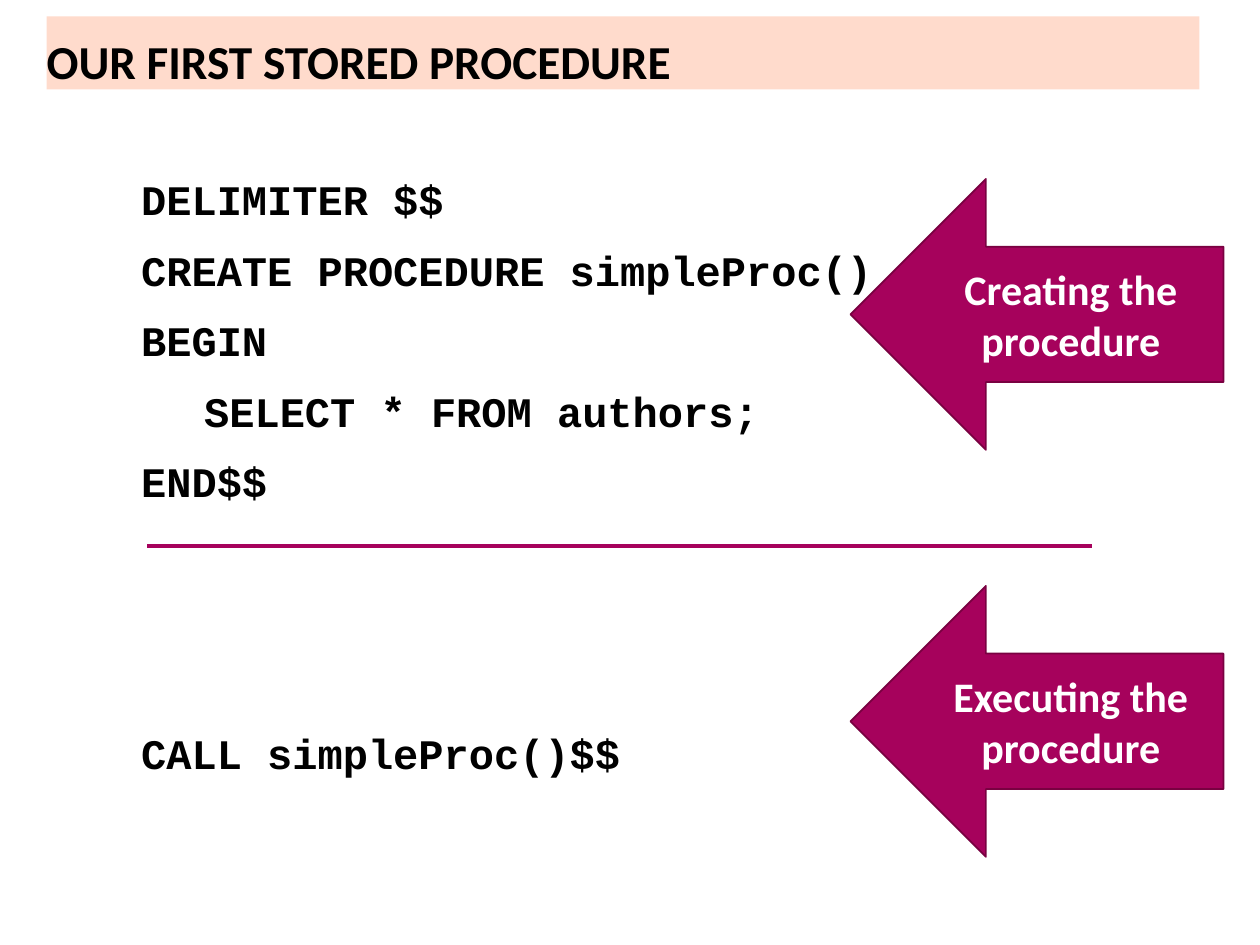
"""Build a slide that shows how a stored procedure is created and executed."""
from dataclasses import dataclass

from lxml import etree
from pptx import Presentation
from pptx.dml.color import RGBColor
from pptx.enum.shapes import MSO_CONNECTOR, MSO_SHAPE
from pptx.enum.text import MSO_ANCHOR, MSO_AUTO_SIZE, PP_ALIGN
from pptx.oxml.ns import qn
from pptx.util import Inches, Pt

LEFT, CENTER = PP_ALIGN.LEFT, PP_ALIGN.CENTER
BOTTOM, MIDDLE, TOP = MSO_ANCHOR.BOTTOM, MSO_ANCHOR.MIDDLE, MSO_ANCHOR.TOP
NO_FIT = MSO_AUTO_SIZE.NONE
LEFT_ARROW = MSO_SHAPE.LEFT_ARROW
STRAIGHT = MSO_CONNECTOR.STRAIGHT
TITLE_ONLY = 5


@dataclass(frozen=True)
class Theme:
    """Colours, fonts and type sizes of the slide."""
    ink: RGBColor = RGBColor.from_string("000000")
    paper: RGBColor = RGBColor.from_string("FFFFFF")
    banner: RGBColor = RGBColor.from_string("FFDBCC")
    accent: RGBColor = RGBColor.from_string("A6025C")
    outline: RGBColor = RGBColor.from_string("790141")
    text_font: str = "Calibri"
    code_font: str = "Courier New"
    title_size: int = 27
    body_size: int = 24
    line_gap: float = 5.7
    block_gap: float = 120.8


class SlideBuilder:
    """Holds the theme and the current slide and draws its elements."""

    def __init__(self, slide, theme):
        self.slide = slide
        self.theme = theme

    def set_font(self, para, name, size, color):
        """Give a paragraph its bold typeface, size and colour."""
        font = para.font
        font.name, font.size, font.bold = name, Pt(size), True
        font.color.rgb = color

    def set_frame(self, frame, anchor, margins):
        """Set wrapping, anchor and left, top, right, bottom margins."""
        frame.word_wrap = True
        frame.auto_size = NO_FIT
        frame.vertical_anchor = anchor
        (frame.margin_left, frame.margin_top,
         frame.margin_right, frame.margin_bottom) = map(Inches, margins)

    def title(self, text, bounds):
        """Place the title placeholder on its coloured band."""
        box = self.slide.shapes.title
        box.left, box.top, box.width, box.height = map(Inches, bounds)
        box.fill.solid()
        box.fill.fore_color.rgb = self.theme.banner
        self.set_frame(box.text_frame, BOTTOM, (0, 0, 0, 0))
        para = box.text_frame.paragraphs[0]
        para.text, para.alignment = text, LEFT
        self.set_font(para, self.theme.text_font, self.theme.title_size, self.theme.ink)

    def code(self, blocks, bounds):
        """Write blocks of code lines with a wide gap between blocks."""
        frame = self.slide.shapes.add_textbox(*map(Inches, bounds)).text_frame
        self.set_frame(frame, TOP, (0, 0.08, 0, 0))
        para = None
        for block in blocks:
            gap = self.theme.block_gap
            for line in block:
                if para is None:
                    para = frame.paragraphs[0]
                else:
                    para = frame.add_paragraph()
                    para.space_before = Pt(gap)
                gap = self.theme.line_gap
                self.code_line(para, line)

    def code_line(self, para, line):
        """Indent one code line and give it a tab stop."""
        para.text, para.level = line, 1
        properties = para._p.get_or_add_pPr()
        properties.set("marL", str(Inches(0.75)))
        properties.set("indent", "0")
        tabs = etree.SubElement(properties, qn("a:tabLst"))
        etree.SubElement(tabs, qn("a:tab"), pos=str(Inches(1.5)), algn="l")
        para.line_spacing = 1.2
        self.set_font(para, self.theme.code_font, self.theme.body_size, self.theme.ink)

    def arrow(self, text, bounds):
        """Draw a labelled arrow that points left."""
        arrow = self.slide.shapes.add_shape(LEFT_ARROW, *map(Inches, bounds))
        arrow.shadow.inherit = False
        arrow.fill.solid()
        arrow.fill.fore_color.rgb = self.theme.accent
        arrow.line.color.rgb = self.theme.outline
        arrow.line.width = Pt(1)
        self.set_frame(arrow.text_frame, MIDDLE, (0.1, 0.05, 0.1, 0.05))
        para = arrow.text_frame.paragraphs[0]
        para.text, para.alignment = text, CENTER
        self.set_font(para, self.theme.text_font, self.theme.body_size, self.theme.paper)

    def divider(self, left, right, top):
        """Draw a horizontal rule."""
        ends = map(Inches, (left, top, right, top))
        rule = self.slide.shapes.add_connector(STRAIGHT, *ends)
        rule.line.color.rgb = self.theme.accent
        rule.line.width = Pt(2.25)
        etree.SubElement(rule._element.spPr, qn("a:effectLst"))


def main():
    """Build and save the deck."""
    deck = Presentation()
    deck.slide_width, deck.slide_height = Inches(10), Inches(7.5)
    page = SlideBuilder(deck.slides.add_slide(deck.slide_layouts[TITLE_ONLY]), Theme())
    page.title("OUR FIRST STORED PROCEDURE", (0.37, 0.13, 9.15, 0.58))
    create = (
        "DELIMITER $$",
        "CREATE PROCEDURE simpleProc()",
        "BEGIN",
        "\tSELECT * FROM authors;",
        "END$$",
    )
    execute = ("CALL simpleProc()$$",)
    page.code((create, execute), (0.37, 1.22, 9.15, 5.42))
    for step, top in (("Creating", 1.42), ("Executing", 4.65)):
        page.arrow(f"{step} the procedure", (6.75, top, 2.96, 2.15))
    page.divider(1.17, 8.67, 4.33)
    deck.save("out.pptx")


if __name__ == "__main__":
    main()
